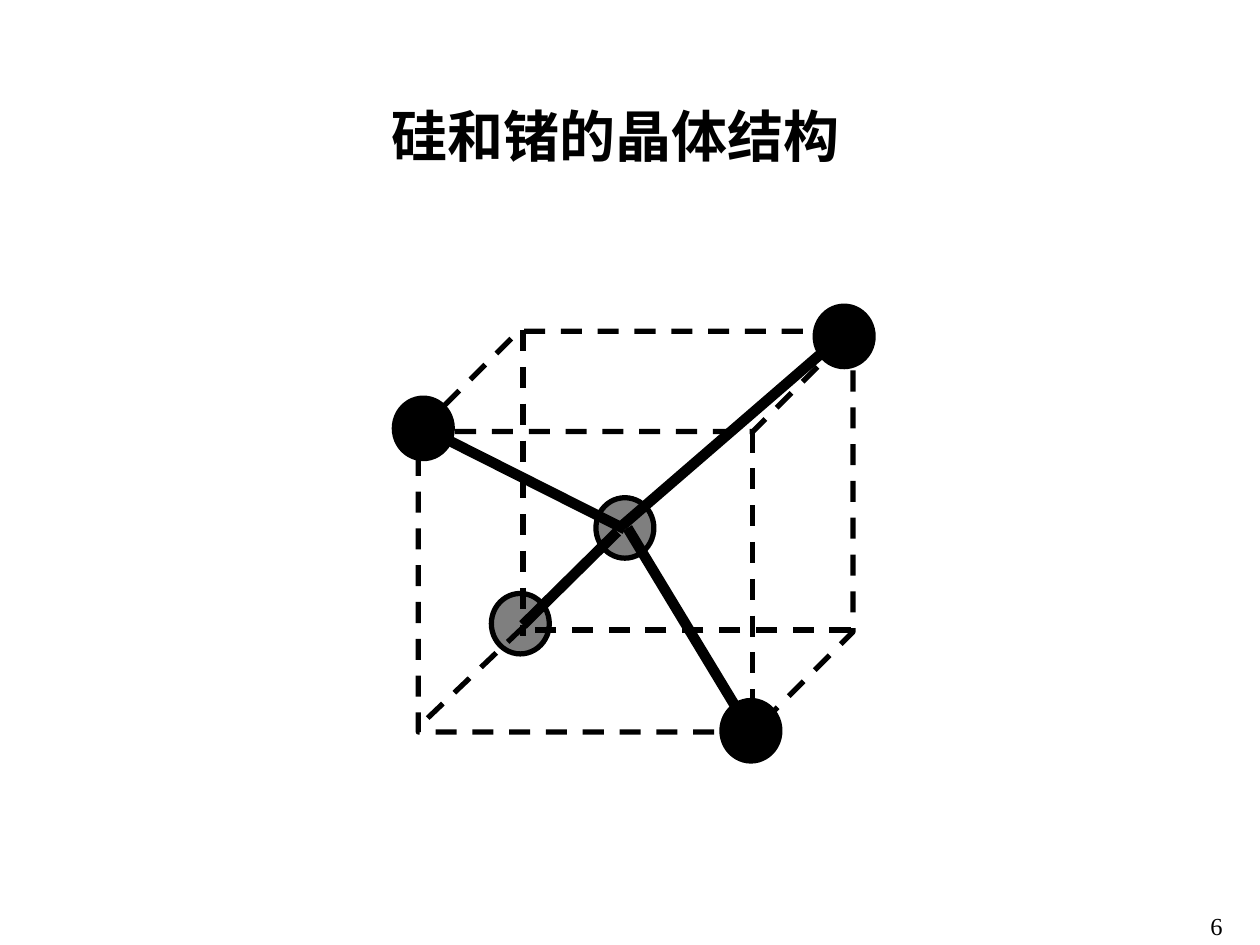
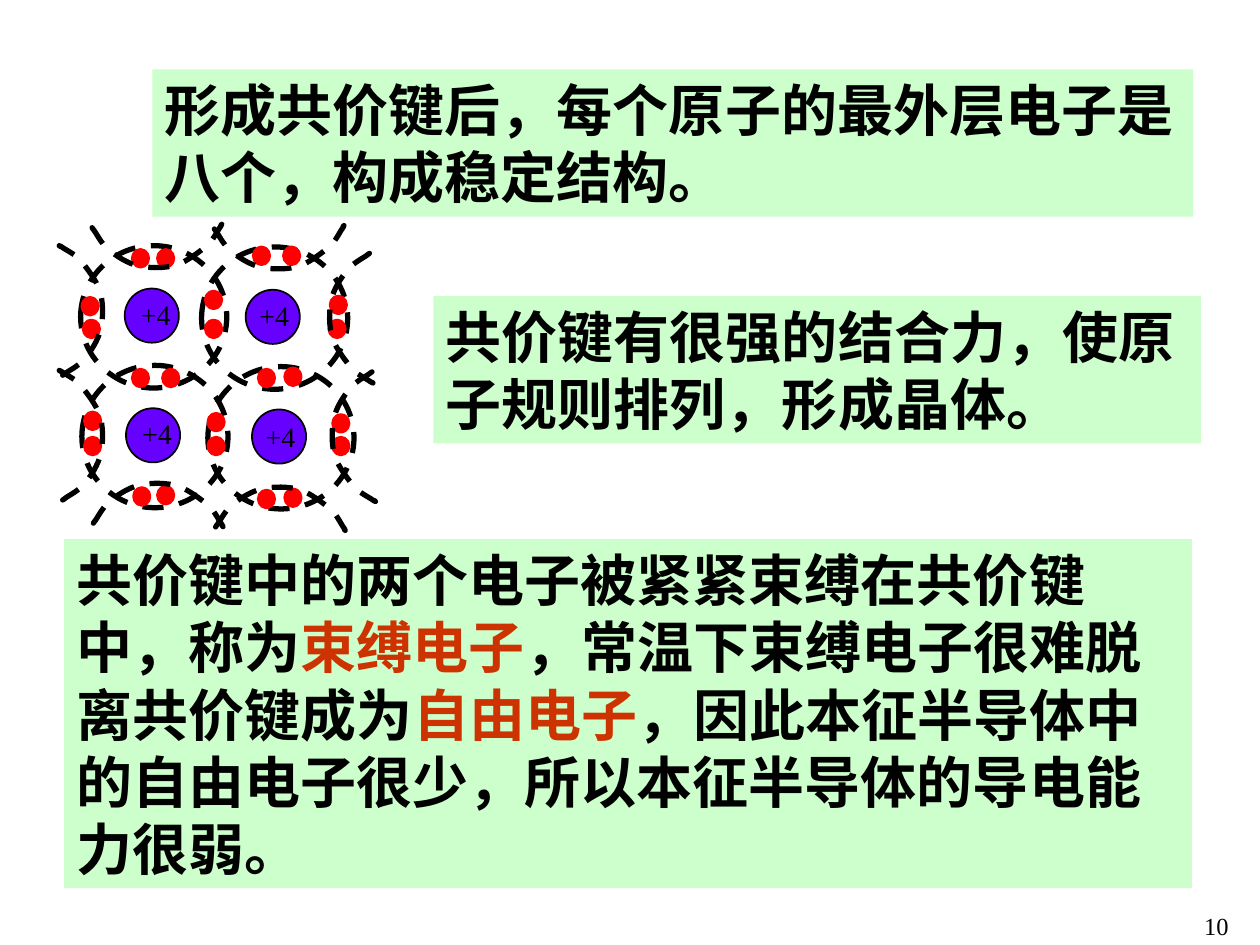
from lxml.etree import SubElement
from pptx import Presentation
from pptx.dml.color import RGBColor
from pptx.enum.dml import MSO_LINE
from pptx.enum.shapes import MSO_CONNECTOR, MSO_SHAPE
from pptx.enum.text import MSO_ANCHOR, PP_ALIGN
from pptx.oxml.ns import qn
from pptx.util import Inches, Pt

COLORS = {
    "ink": "000000",
    "panel": "CCFFCC",
    "accent": "CC3300",
    "electron": "FF0000",
    "ion": "6600FF",
}
FONT = "Times New Roman"

CRYSTAL = {
    "title": "硅和锗的晶体结构",
    "number": "6",
    "cube": (3.32, 2.63, 3.45, 3.18),
    "hidden_edges": [
        ((4.15, 2.62), (4.15, 5.05)),
        ((6.75, 5), (4.13, 5)),
        ((4.15, 4.98), (3.32, 5.77)),
    ],
    "atoms": [
        (4.73, 3.95, 50),
        (3.13, 3.16, 100),
        (3.9, 4.71, 50),
        (6.47, 2.43, 100),
        (5.73, 5.56, 100),
    ],
    "bonds": [
        ((3.55, 3.49), (4.96, 4.2)),
        ((4.9, 4.22), (4.15, 4.96)),
        ((4.98, 4.19), (5.96, 5.81)),
        ((4.94, 4.17), (6.71, 2.64)),
    ],
}

PANELS = [
    ((0.51, 4.28, 8.95, 2.77), [
        ("共价键中的两个电子被紧紧束缚在共价键中，称为", "ink"),
        ("束缚电子", "accent"),
        ("，常温下束缚电子很难脱离共价键成为", "ink"),
        ("自由电子", "accent"),
        ("，因此本征半导体中的自由电子很少，所以本征半导体的导电能力很弱。", "ink"),
    ]),
    ((1.21, 0.55, 8.26, 1.17), [
        ("形成共价键后，每个原子的最外层电子是八个，构成稳定结构。", "ink"),
    ]),
    ((3.44, 2.35, 6.09, 1.17), [
        ("共价键有很强的结合力，使原子规则排列，形成晶体。", "ink"),
    ]),
]
IONS = [(0.99, 2.29), (1.95, 2.3), (1, 3.24), (2, 3.25)]
CHARGES = [(1.02, 2.31), (1.96, 2.32), (1.03, 3.26), (2.01, 3.28)]
ELECTRON_PAIRS = [
    ((1.06, 1.99), (1.26, 1.99)),
    ((2.02, 1.97), (2.26, 1.97)),
    ((0.66, 2.37), (0.67, 2.55)),
    ((1.64, 2.32), (1.64, 2.55)),
    ((2.63, 2.36), (2.62, 2.55)),
    ((1.06, 2.94), (1.3, 2.94)),
    ((2.06, 2.94), (2.27, 2.93)),
    ((0.68, 3.28), (0.68, 3.48)),
    ((1.66, 3.29), (1.66, 3.48)),
    ((2.65, 3.3), (2.65, 3.48)),
    ((1.07, 3.88), (1.26, 3.87)),
    ((2.06, 3.9), (2.27, 3.89)),
]
ARC_DEPTH, ARC_SPAN = 0.36, 1.04
ARC_START = (0.31, 0.02)
ARC_CURVES = [
    ((0.31, 0.02), (0.34, 0), (0.31, 0.02)),
    ((0.29, 0.04), (0.2, 0.08), (0.15, 0.14)),
    ((0.1, 0.2), (0.04, 0.29), (0.02, 0.38)),
    ((0, 0.47), (0, 0.6), (0.03, 0.69)),
    ((0.06, 0.77), (0.13, 0.86), (0.17, 0.91)),
    ((0.21, 0.96), (0.22, 0.96), (0.25, 0.98)),
    ((0.28, 1), (0.32, 1.02), (0.33, 1.03)),
    ((0.35, 1.04), (0.35, 1.04), (0.35, 1.04)),
    ((0.35, 1.04), (0.34, 1.03), (0.33, 1.03)),
]
ARCS = [
    ("right", 2.61, 2), ("right", 2.63, 2.94),
    ("top", 0.72, 1.77), ("top", 1.69, 1.78),
    ("bottom", 0.73, 3.83), ("bottom", 1.7, 3.86),
    ("left", 0.46, 1.95), ("left", 0.46, 2.94),
]


def color(name):
    return RGBColor.from_string(COLORS[name])


def style_line(line, name, width, dashed=False):
    line.color.rgb = color(name)
    line.width = Pt(width)
    if dashed:
        line.dash_style = MSO_LINE.DASH


def add_figure(shapes, kind, area, fill=None, line=None, width=3, dashed=False, opacity=100):
    shape = shapes.add_shape(kind, *map(Inches, area))
    shape.shadow.inherit = False
    if fill:
        shape.fill.solid()
        shape.fill.fore_color.rgb = color(fill)
        if opacity < 100:
            tint = shape.element.spPr.find(qn("a:solidFill"))[0]
            SubElement(tint, qn("a:alpha"), val=str(opacity * 1000))
    else:
        shape.fill.background()
    if line:
        style_line(shape.line, line, width, dashed)
    else:
        shape.line.fill.background()
    return shape


def add_segment(shapes, ends, width, dashed=False):
    start, end = ends
    segment = shapes.add_connector(MSO_CONNECTOR.STRAIGHT, *map(Inches, start + end))
    style_line(segment.line, "ink", width, dashed)
    SubElement(segment.element.spPr, qn("a:effectLst"))


def write(shape, spans, size, bold=False, align=PP_ALIGN.LEFT, anchor=MSO_ANCHOR.MIDDLE):
    frame = shape.text_frame
    frame.word_wrap = True
    frame.vertical_anchor = anchor
    para = frame.paragraphs[0]
    para.alignment = align
    para._p.get_or_add_pPr().set("hangingPunct", "0")
    for text, name in spans:
        span = para.add_run()
        span.text = text
        span.font.name = FONT
        span.font.size = Pt(size)
        span.font.bold = bold
        span.font.color.rgb = color(name)


def add_label(shapes, area, text, size, **style):
    write(shapes.add_textbox(*map(Inches, area)), [(text, "ink")], size, **style)


def add_page(deck, number):
    page = deck.slides.add_slide(deck.slide_layouts[6])
    add_label(page.shapes, (8.69, 7.18, 1.93, 0.33), number, 14, align=PP_ALIGN.CENTER)
    return page


def place(side, left, top, depth, along):
    return {
        "right": (left + depth, top + along),
        "left": (left + ARC_DEPTH - depth, top + ARC_SPAN - along),
        "top": (left + along, top + ARC_DEPTH - depth),
        "bottom": (left + along, top + depth),
    }[side]


def bend(shape):
    outline = next(shape.element.iter(qn("a:path")))
    lines = outline.findall(qn("a:lnTo"))
    for first in range(0, len(lines), 3):
        curve = SubElement(outline, qn("a:cubicBezTo"))
        for line in lines[first:first + 3]:
            curve.append(line[0])
            outline.remove(line)


def add_arc(shapes, side, left, top):
    local = [ARC_START] + [point for curve in ARC_CURVES for point in curve]
    points = [tuple(map(Inches, place(side, left, top, *point))) for point in local]
    builder = shapes.build_freeform(*points[0])
    builder.add_line_segments(points[1:], close=False)
    arc = builder.convert_to_shape()
    bend(arc)
    arc.shadow.inherit = False
    arc.fill.background()
    style_line(arc.line, "ink", 3, dashed=True)


def build_crystal(deck):
    page = add_page(deck, CRYSTAL["number"])
    add_label(page.shapes, (3.01, 0.76, 4.01, 0.64), CRYSTAL["title"], 32, bold=True, anchor=MSO_ANCHOR.TOP)
    cell = page.shapes.add_group_shape().shapes
    cube = add_figure(cell, MSO_SHAPE.CUBE, CRYSTAL["cube"], line="ink", dashed=True)
    cube.adjustments[0] = 0.25
    for edge in CRYSTAL["hidden_edges"]:
        add_segment(cell, edge, 3, dashed=True)
    for left, top, opacity in CRYSTAL["atoms"]:
        add_figure(cell, MSO_SHAPE.OVAL, (left, top, 0.46, 0.48), "ink", "ink", opacity=opacity)
    for bond in CRYSTAL["bonds"]:
        add_segment(cell, bond, 6)


def build_covalent_bonds(deck):
    page = add_page(deck, "10")
    for area, spans in PANELS:
        write(add_figure(page.shapes, MSO_SHAPE.RECTANGLE, area, "panel"), spans, 32, bold=True)
    lattice = page.shapes.add_group_shape().shapes
    for left, top in IONS:
        add_figure(lattice, MSO_SHAPE.OVAL, (left, top, 0.43, 0.43), "ion", "ink", 1)
        shell = (left - 0.35, top - 0.34, 1.16, 1.13)
        add_figure(lattice, MSO_SHAPE.OVAL, shell, line="ink", dashed=True)
    for pair in ELECTRON_PAIRS:
        for electron in pair:
            add_figure(lattice, MSO_SHAPE.OVAL, (*electron, 0.11, 0.12), "electron", "electron")
    for arc in ARCS:
        add_arc(lattice, *arc)
    for charge in CHARGES:
        add_label(lattice, (*charge, 0.49, 0.37), "+4", 16, anchor=MSO_ANCHOR.TOP)


def main():
    deck = Presentation()
    deck.slide_width, deck.slide_height = Inches(10), Inches(7.5)
    build_crystal(deck)
    build_covalent_bonds(deck)
    deck.save("out.pptx")


if __name__ == "__main__":
    main()
